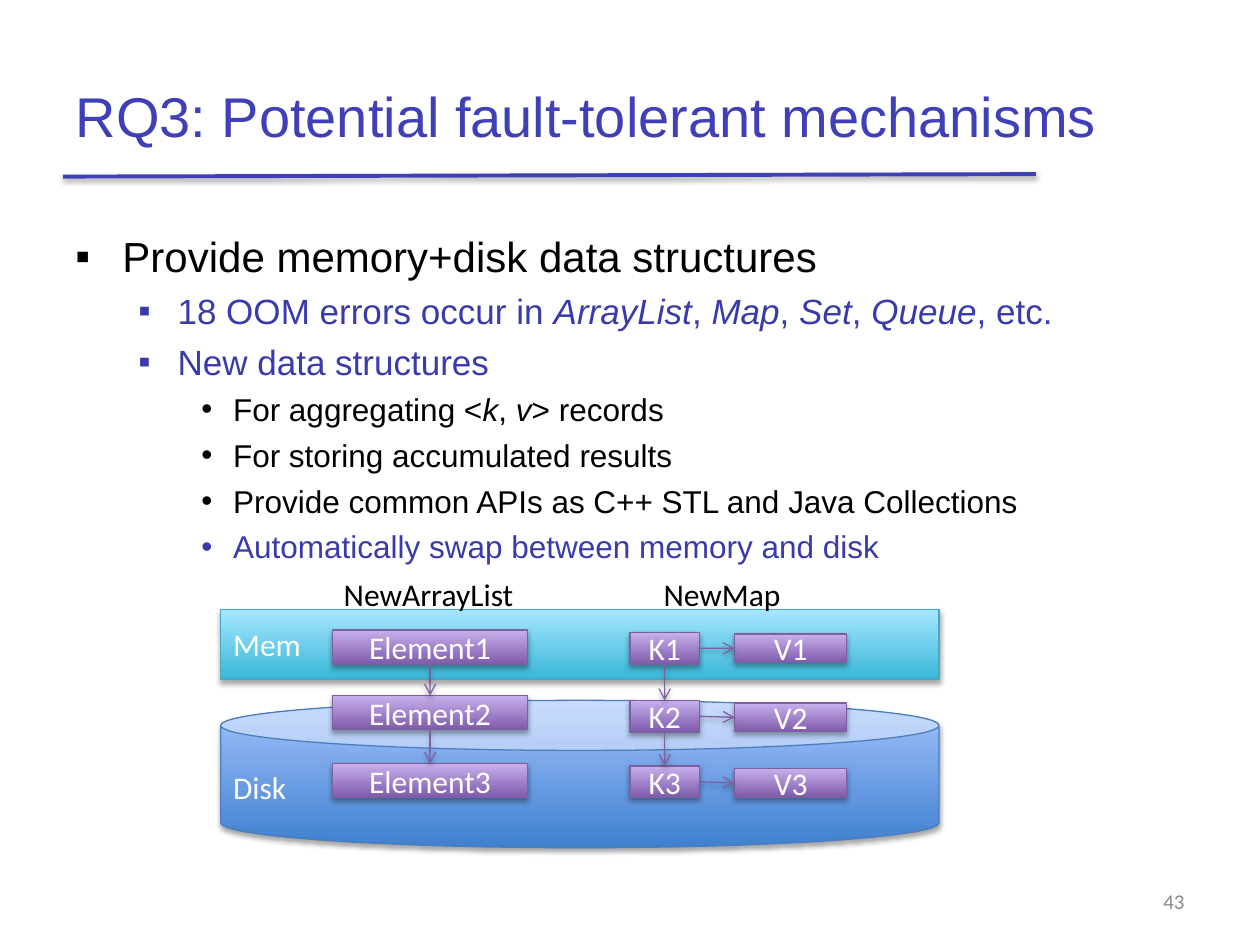
from dataclasses import dataclass

from lxml.etree import SubElement
from pptx import Presentation
from pptx.dml.color import RGBColor
from pptx.enum.shapes import MSO_CONNECTOR, MSO_SHAPE
from pptx.enum.text import MSO_ANCHOR, MSO_AUTO_SIZE, PP_ALIGN
from pptx.oxml.ns import qn
from pptx.util import Cm, Pt

BLACK = RGBColor(0x00, 0x00, 0x00)
WHITE = RGBColor(0xFF, 0xFF, 0xFF)
GREY = RGBColor(0x8C, 0x8C, 0x8C)
TITLE_BLUE = RGBColor(0x3F, 0x40, 0xB8)
TEXT_BLUE = RGBColor(0x39, 0x3B, 0xAA)
PURPLE_LINE = RGBColor(0x7D, 0x60, 0xA0)


@dataclass(frozen=True)
class Skin:
    bottom: RGBColor
    top: RGBColor
    line: RGBColor


DISK = Skin(RGBColor(0x3F, 0x80, 0xCE), RGBColor(0xA4, 0xC4, 0xFF), RGBColor(0x4B, 0x7E, 0xBC))
MEMORY = Skin(RGBColor(0x39, 0xB7, 0xD8), RGBColor(0xA7, 0xE6, 0xFF), RGBColor(0x46, 0xAA, 0xC5))
ENTRY = Skin(RGBColor(0x7F, 0x5B, 0xAB), RGBColor(0xC8, 0xB0, 0xED), PURPLE_LINE)


@dataclass(frozen=True)
class Level:
    size: int
    margin: float
    hanging: float
    bullet: str


LEVELS = [
    Level(24, 0.95, 0.95, "▪"),
    Level(20, 2.06, 0.79, "▪"),
    Level(18, 3.18, 0.64, "•"),
]


@dataclass(frozen=True)
class Point:
    level: int
    text: str  # asterisks enclose italic words
    color: RGBColor


POINTS = [
    Point(0, "Provide memory+disk data structures", BLACK),
    Point(1, "18 OOM errors occur in *ArrayList*, *Map*, *Set*, *Queue*, etc.", TEXT_BLUE),
    Point(1, "New data structures", TEXT_BLUE),
    Point(2, "For aggregating <*k*, *v*> records", BLACK),
    Point(2, "For storing accumulated results", BLACK),
    Point(2, "Provide common APIs as C++ STL and Java Collections", BLACK),
    Point(2, "Automatically swap between memory and disk", TEXT_BLUE),
]


@dataclass(frozen=True)
class Column:
    """A stack of equal boxes, one for each top."""
    name: str
    left: float
    width: float
    height: float
    tops: tuple[float, ...]

    @property
    def center(self) -> float:
        return self.left + self.width / 2

    def middle(self, row: int) -> float:
        return self.tops[row] + self.height / 2


ELEMENTS = Column("Element", 6.7, 3.94, 0.69, (12.7, 14.02, 15.39))
KEYS = Column("K", 12.7, 1.4, 0.64, (12.75, 14.12, 15.44))
VALUES = Column("V", 14.81, 2.26, 0.58, (12.78, 14.17, 15.49))


def style_text(paragraph, size: int, font: str, color: RGBColor) -> None:
    for run in paragraph.runs:
        run.font.size = Pt(size)
        run.font.name = font
        run.font.color.rgb = color


def add_shadow(shape) -> None:
    effects = SubElement(shape._element.spPr, qn("a:effectLst"))
    shadow = SubElement(effects, qn("a:outerShdw"), blurRad=str(Pt(3.1)),
                        dist=str(Pt(1.8)), dir="5400000", rotWithShape="0")
    color = SubElement(shadow, qn("a:srgbClr"), val=str(BLACK))
    SubElement(color, qn("a:alpha"), val="35000")


def add_block(slide, kind, left: float, top: float, width: float, height: float,
              text: str, skin: Skin, align=PP_ALIGN.LEFT):
    block = slide.shapes.add_shape(kind, Cm(left), Cm(top), Cm(width), Cm(height))
    block.fill.gradient()
    block.fill.gradient_angle = 90
    for stop, color in zip(block.fill.gradient_stops, (skin.bottom, skin.top)):
        stop.color.rgb = color
    block.line.color.rgb = skin.line
    block.line.width = Pt(0.75)
    add_shadow(block)
    block.text_frame.text = text
    block.text_frame.vertical_anchor = MSO_ANCHOR.MIDDLE
    paragraph = block.text_frame.paragraphs[0]
    paragraph.alignment = align
    style_text(paragraph, 18, "Calibri", WHITE)
    return block


def add_line(slide, x1: float, y1: float, x2: float, y2: float, color: RGBColor, width: float):
    line = slide.shapes.add_connector(MSO_CONNECTOR.STRAIGHT, Cm(x1), Cm(y1), Cm(x2), Cm(y2))
    line.line.color.rgb = color
    line.line.width = Pt(width)
    return line


def add_arrow(slide, x1: float, y1: float, x2: float, y2: float) -> None:
    arrow = add_line(slide, x1, y1, x2, y2, PURPLE_LINE, 0.75)
    SubElement(arrow.line._get_or_add_ln(), qn("a:tailEnd"), type="arrow")
    add_shadow(arrow)


def add_label(slide, left: float, top: float, width: float, text: str, size: int,
              color: RGBColor, align=PP_ALIGN.LEFT) -> None:
    frame = slide.shapes.add_textbox(Cm(left), Cm(top), Cm(width), Cm(1.02)).text_frame
    frame.word_wrap = True
    frame.text = text
    frame.vertical_anchor = MSO_ANCHOR.MIDDLE
    frame.paragraphs[0].alignment = align
    style_text(frame.paragraphs[0], size, "Calibri", color)


def add_title(slide) -> None:
    title = slide.shapes.title
    title.left, title.top, title.width, title.height = Cm(1.27), Cm(1.14), Cm(23.11), Cm(2.36)
    frame = title.text_frame
    frame.text = "RQ3: Potential fault-tolerant mechanisms"
    frame.auto_size = MSO_AUTO_SIZE.NONE
    frame.vertical_anchor = MSO_ANCHOR.MIDDLE
    frame.paragraphs[0].alignment = PP_ALIGN.LEFT
    style_text(frame.paragraphs[0], 32, "Arial", TITLE_BLUE)
    add_line(slide, 1.27, 3.56, 20.88, 3.51, TITLE_BLUE, 2.25)


def add_points(slide) -> None:
    frame = slide.shapes.add_textbox(Cm(1.27), Cm(4.52), Cm(22.86), Cm(7.77)).text_frame
    frame.word_wrap = True
    for index, point in enumerate(POINTS):
        paragraph = frame.add_paragraph() if index else frame.paragraphs[0]
        level = LEVELS[point.level]
        properties = paragraph._p.get_or_add_pPr()
        properties.set("marL", str(Cm(level.margin)))
        properties.set("indent", str(-Cm(level.hanging)))
        SubElement(properties, qn("a:buFont"), typeface="Arial")
        SubElement(properties, qn("a:buChar"), char=level.bullet)
        paragraph.level = point.level
        if index:
            paragraph.space_before = Pt(level.size / 4)
        for part, words in enumerate(point.text.split("*")):
            run = paragraph.add_run()
            run.text = words
            run.font.italic = part % 2 == 1
        style_text(paragraph, level.size, "Arial", point.color)


def add_column(slide, column: Column) -> None:
    for number, top in enumerate(column.tops, 1):
        add_block(slide, MSO_SHAPE.RECTANGLE, column.left, top, column.width, column.height,
                  f"{column.name}{number}", ENTRY, PP_ALIGN.CENTER)


def add_diagram(slide) -> None:
    disk = add_block(slide, MSO_SHAPE.CAN, 4.45, 14.12, 14.48, 2.97, "Disk", DISK)
    disk.adjustments[0] = 0.34
    add_block(slide, MSO_SHAPE.RECTANGLE, 4.45, 12.29, 14.48, 1.4, "Mem", MEMORY)
    for column in (ELEMENTS, KEYS, VALUES):
        add_column(slide, column)
    for row in range(len(KEYS.tops)):
        add_arrow(slide, KEYS.left + KEYS.width, KEYS.middle(row), VALUES.left, VALUES.middle(row))
    for column in (ELEMENTS, KEYS):
        for top, next_top in zip(column.tops, column.tops[1:]):
            add_arrow(slide, column.center, top + column.height, column.center, next_top)
    add_label(slide, 6.68, 11.46, 4.52, "NewArrayList", 18, BLACK)
    add_label(slide, 13.13, 11.46, 3.96, "NewMap", 18, BLACK)


def main() -> None:
    deck = Presentation()
    deck.slide_width, deck.slide_height = Cm(25.4), Cm(19.05)
    slide = deck.slides.add_slide(deck.slide_layouts[5])
    add_title(slide)
    add_points(slide)
    add_label(slide, 18.21, 17.65, 5.92, "43", 12, GREY, PP_ALIGN.RIGHT)
    add_diagram(slide)
    deck.save("out.pptx")


if __name__ == "__main__":
    main()
